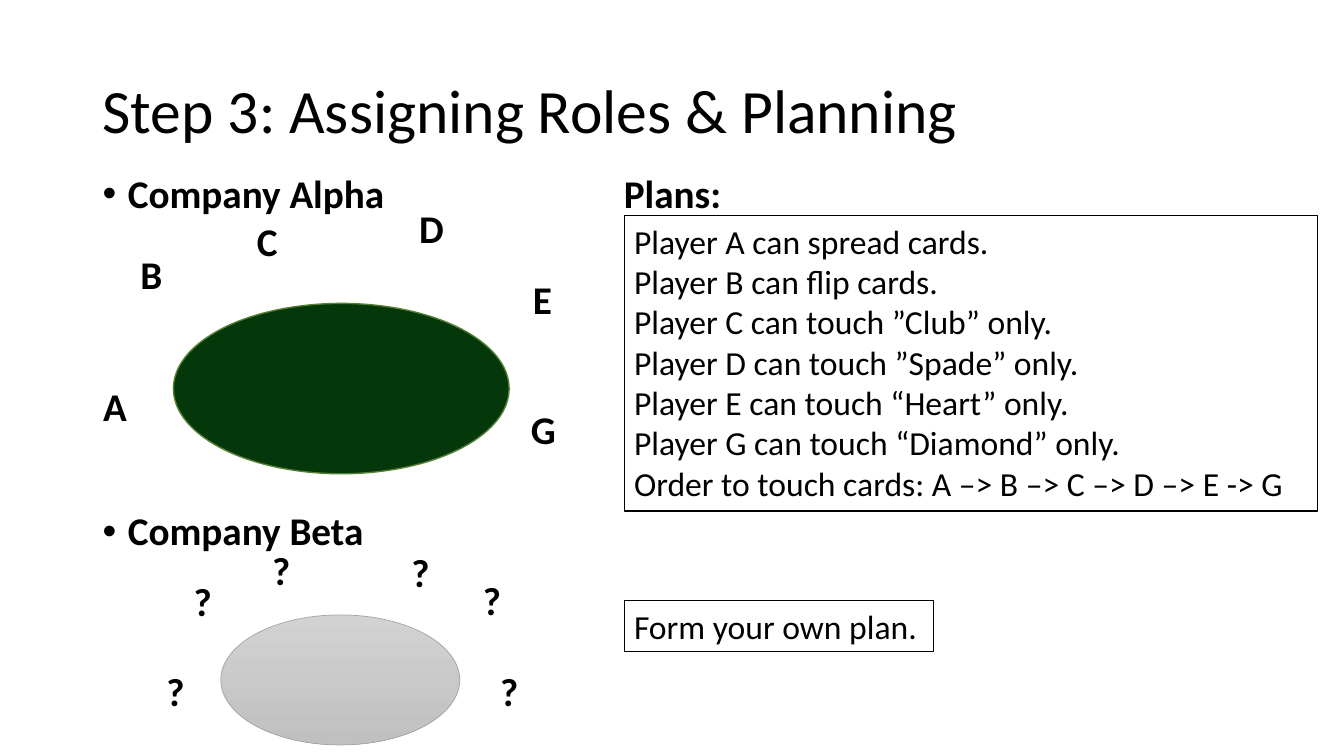
from lxml import etree
from pptx import Presentation
from pptx.dml.color import RGBColor
from pptx.enum.shapes import MSO_SHAPE
from pptx.enum.text import MSO_ANCHOR, PP_ALIGN
from pptx.oxml.ns import qn
from pptx.util import Inches, Pt

OVAL, RECT = MSO_SHAPE.OVAL, MSO_SHAPE.RECTANGLE
TOP, MIDDLE = MSO_ANCHOR.TOP, MSO_ANCHOR.MIDDLE
LEFT, CENTER = PP_ALIGN.LEFT, PP_ALIGN.CENTER

BLACK = RGBColor(0x00, 0x00, 0x00)
FELT = RGBColor(0x04, 0x37, 0x09)
RIM = RGBColor(0x53, 0x80, 0x35)
PALE = RGBColor(0xD2, 0xD2, 0xD2)
GREY = RGBColor(0xC0, 0xC0, 0xC0)
EDGE = RGBColor(0xA5, 0xA5, 0xA5)

FONT = "Calibri"
SEAT_W, SEAT_H = 0.45, 0.57

# Seat: label, centre from the left, top from the top of the company's region
ALPHA = [("A", 0.22, 2.06), ("B", 0.58, 0.75), ("C", 1.73, 0.43),
         ("D", 3.36, 0.30), ("E", 4.46, 1.00), ("G", 4.47, 2.29)]
BETA = [("?", 0.82, 1.54), ("?", 1.09, 0.65), ("?", 1.87, 0.34),
        ("?", 3.25, 0.36), ("?", 3.96, 0.64), ("?", 4.13, 1.54)]

PLANS = [
    "Player A can spread cards.",
    "Player B can flip cards.",
    "Player C can touch ”Club” only.",
    "Player D can touch ”Spade” only.",
    "Player E can touch “Heart” only.",
    "Player G can touch “Diamond” only.",
    "Order to touch cards: A –> B –> C –> D –> E -> G",
]


def fill_text(frame, lines, size, bold=False, align=LEFT, space=1.0):
    for i, line in enumerate(lines):
        para = frame.paragraphs[0] if i == 0 else frame.add_paragraph()
        para.text = line
        para.alignment = align
        para.line_spacing = space
        font = para.font
        font.name, font.size, font.bold = FONT, Pt(size), bold
        font.color.rgb = BLACK


def add_text(slide, box, text, size, bold=False, align=LEFT, space=1.0,
             anchor=TOP, wrap=True, bullet=False):
    frame = slide.shapes.add_textbox(*map(Inches, box)).text_frame
    frame.word_wrap = wrap
    frame.vertical_anchor = anchor
    if bullet:
        props = frame.paragraphs[0]._p.get_or_add_pPr()
        props.set("marL", str(Inches(0.25)))
        props.set("indent", str(-Inches(0.25)))
        etree.SubElement(props, qn("a:buFont"), typeface="Arial")
        etree.SubElement(props, qn("a:buChar"), char="•")
    fill_text(frame, [text], size, bold, align, space)


def add_shape(slide, kind, box, line, width):
    shape = slide.shapes.add_shape(kind, *map(Inches, box))
    shape.shadow.inherit = False
    shape.line.color.rgb = line
    shape.line.width = Pt(width)
    return shape


def add_head(slide, left, top, text, bullet=False):
    add_text(slide, (left, top, 4, 0.5), text, 28, bold=True,
             space=0.9, bullet=bullet)


def add_team(slide, left, top, name, table, seats, line, width):
    """Heading, oval table and the seats around it; returns the table."""
    add_head(slide, left, top, name, bullet=True)
    x, y, w, h = table
    oval = add_shape(slide, OVAL, (left + x, top + y, w, h), line, width)
    for label, mid, down in seats:
        box = (left + mid - SEAT_W / 2, top + down, SEAT_W, SEAT_H)
        add_text(slide, box, label, 28, bold=True, align=CENTER, wrap=False)
    return oval


def add_plan(slide, box, lines):
    panel = add_shape(slide, RECT, box, BLACK, 0.75)
    panel.fill.background()
    frame = panel.text_frame
    frame.word_wrap = True
    frame.vertical_anchor = TOP
    fill_text(frame, lines, 24)


def main():
    deck = Presentation()
    deck.slide_width, deck.slide_height = Inches(13.33), Inches(7.5)
    slide = deck.slides.add_slide(deck.slide_layouts[6])

    # Title
    add_text(slide, (0.92, 0.4, 11.5, 1.45),
             "Step 3: Assigning Roles & Planning", 44,
             space=0.9, anchor=MIDDLE)

    # Companies on the left
    felt = add_team(slide, 0.92, 1.68, "Company Alpha",
                    (0.8, 1.33, 3.33, 1.69), ALPHA, RIM, 1)
    felt.fill.solid()
    felt.fill.fore_color.rgb = FELT

    blank = add_team(slide, 0.92, 5.03, "Company Beta",
                     (1.27, 1.07, 2.37, 1.29), BETA, EDGE, 0.5)
    blank.fill.gradient()
    blank.fill.gradient_angle = 270
    for stop, tone in zip(blank.fill.gradient_stops, (PALE, GREY)):
        stop.color.rgb = tone

    # Plans on the right
    add_head(slide, 6.09, 1.68, "Plans:")
    add_plan(slide, (6.19, 2.14, 6.88, 2.93), PLANS)
    add_plan(slide, (6.19, 5.96, 3.07, 0.5), ["Form your own plan."])

    deck.save("out.pptx")


if __name__ == "__main__":
    main()
